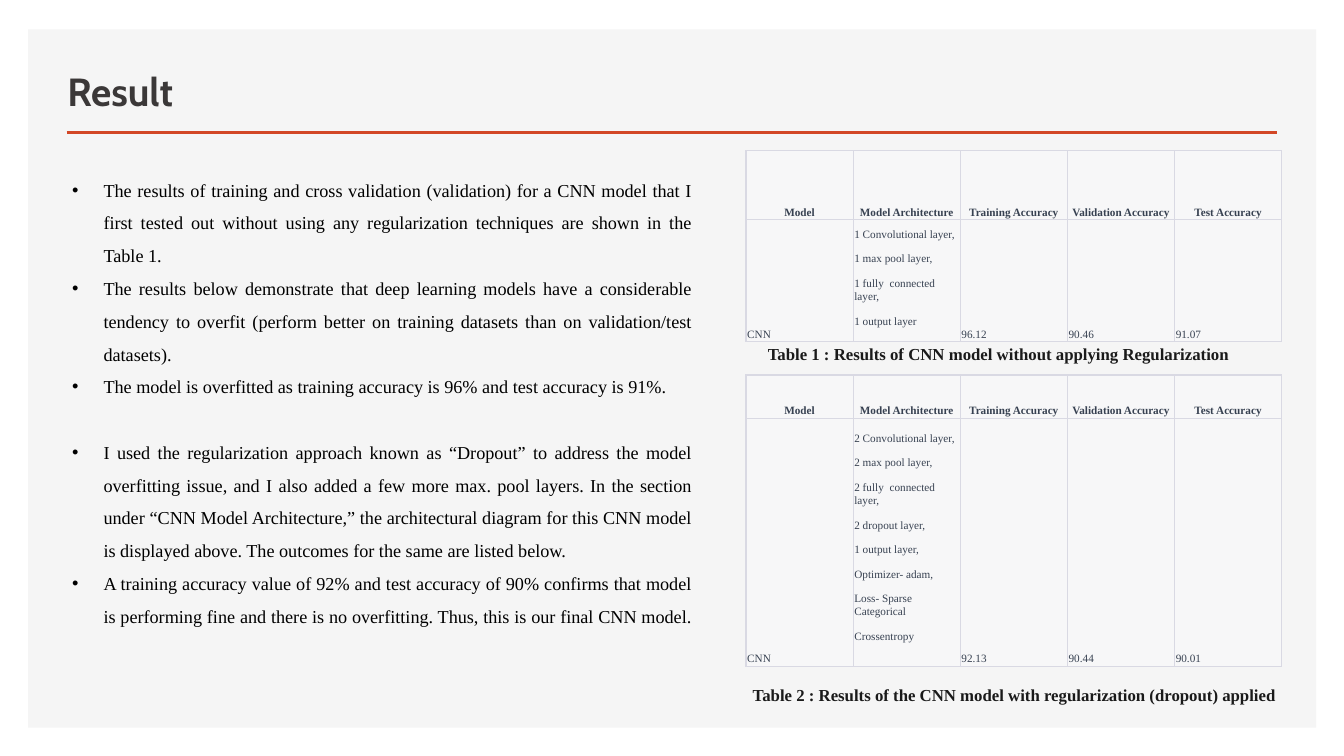
from lxml import etree
from pptx import Presentation
from pptx import util as u
from pptx.dml.color import RGBColor
from pptx.enum import shapes, text
from pptx.oxml.ns import qn

SERIF = "Times New Roman"
HEADS = ["Model", "Model Architecture", "Training Accuracy",
         "Validation Accuracy", "Test Accuracy"]
PLAIN = ["1 Convolutional layer,", "1 max pool layer,",
         "1 fully  connected layer,", "1 output layer"]
DROPOUT = ["2 Convolutional layer,", "2 max pool layer,",
           "2 fully  connected layer,", "2 dropout layer,", "1 output layer,",
           "Optimizer- adam,", "Loss- Sparse Categorical", "Crossentropy"]
POINTS = [
    "The results of training and cross validation (validation) for a CNN model "
    "that I first tested out without using any regularization techniques are "
    "shown in the Table 1. ",
    "The results below demonstrate that deep learning models have a considerable "
    "tendency to overfit (perform better on training datasets than on "
    "validation/test datasets). ",
    "The model is overfitted as training accuracy is 96% and test accuracy is 91%. ",
    "I used the regularization approach known as “Dropout” to address the model "
    "overfitting issue, and I also added a few more max. pool layers. In the "
    "section under “CNN Model Architecture,” the architectural diagram for this "
    "CNN model is displayed above. The outcomes for the same are listed below. ",
    "A training accuracy value of 92% and test accuracy of 90% confirms that "
    "model is performing fine and there is no overfitting. Thus, this is our "
    "final CNN model. ",
]


def paint(color, value):
    color.rgb = RGBColor.from_string(value)


def fill(item, value):
    item.fill.solid()
    paint(item.fill.fore_color, value)


def style(para, size, color, bold=False, name=SERIF):
    font = para.font
    font.size, font.bold, font.name = u.Pt(size), bold, name
    paint(font.color, color)


def write(frame, lines):
    """Fill the frame with one paragraph a line and return the paragraphs."""
    for num, line in enumerate(lines):
        para = frame.add_paragraph() if num else frame.paragraphs[0]
        para.text = line
    return frame.paragraphs


def add_panel(slide, left, top, width, height):
    panel = slide.shapes.add_shape(
        shapes.MSO_SHAPE.RECTANGLE, u.Cm(left), u.Cm(top), u.Cm(width), u.Cm(height))
    panel.shadow.inherit = False
    fill(panel, "F5F5F5")
    panel.line.fill.background()


def add_rule(slide, left, right, y):
    rule = slide.shapes.add_connector(
        shapes.MSO_CONNECTOR.STRAIGHT, u.Cm(left), u.Cm(y), u.Cm(right), u.Cm(y))
    rule.line.width = u.Pt(2)
    paint(rule.line.color, "D24726")
    etree.SubElement(rule._element.spPr, qn("a:effectLst"))


def add_box(slide, left, top, width, height):
    box = slide.shapes.add_textbox(u.Cm(left), u.Cm(top), u.Cm(width), u.Cm(height))
    box.text_frame.word_wrap = True
    return box.text_frame


def add_title(slide, words):
    frame = add_box(slide, 1.45, 1.24, 19.1, 1.78)
    frame.vertical_anchor = text.MSO_ANCHOR.BOTTOM
    style(write(frame, [words])[0], 28, "3B3838", True, "Cabin")


def add_label(slide, left, top, width, words):
    frame = add_box(slide, left, top, width, 0.76)
    style(write(frame, [words])[0], 12, "1A1A1A", True)


def add_points(slide):
    paras = write(add_box(slide, 1.57, 4.11, 16.1, 11.84), POINTS)
    for para in paras:
        style(para, 13, "000000")
        para.alignment = text.PP_ALIGN.JUSTIFY
        para.line_spacing = 1.5
        props = para._p.get_or_add_pPr()
        props.set("marL", str(u.Cm(0.79)))
        props.set("indent", str(-u.Cm(0.79)))
        etree.SubElement(props, qn("a:buFont"), typeface="Arial")
        etree.SubElement(props, qn("a:buChar"), char="•")
    paras[2].space_after = u.Pt(23.4)


def add_edges(cell):
    props = cell._tc.get_or_add_tcPr()
    for num, side in enumerate(["lnL", "lnR", "lnT", "lnB"]):
        edge = etree.Element(qn("a:" + side), w=str(u.Pt(1)))
        solid = etree.SubElement(edge, qn("a:solidFill"))
        etree.SubElement(solid, qn("a:srgbClr"), val="D9D9E3")
        props.insert(num, edge)


def fill_cell(cell, lines, head, foot):
    """Write the lines, leaving foot centimetres below the last one."""
    fill(cell, "F7F7F8")
    add_edges(cell)
    cell.vertical_anchor = text.MSO_ANCHOR.BOTTOM
    cell.margin_left = cell.margin_right = cell.margin_top = u.Cm(0.03)
    cell.margin_bottom = u.Cm(foot)
    paras = write(cell.text_frame, lines)
    for para in paras:
        style(para, 8, "374151", head)
        para.line_spacing = 1.07
        if head:
            para.alignment = text.PP_ALIGN.CENTER
    for para in paras[:-1]:
        para.space_after = u.Pt(8)


def add_scores(slide, top, highs, layers, scores, foot):
    rows = [[[head] for head in HEADS],
            [["CNN"], layers] + [[score] for score in scores]]
    frame = slide.shapes.add_table(
        2, len(HEADS), u.Cm(18.8), u.Cm(top), u.Cm(13.5), u.Cm(sum(highs)))
    table = frame.table
    table.horz_banding = False
    for col in table.columns:
        col.width = u.Cm(2.7)
    for r, row in enumerate(rows):
        table.rows[r].height = u.Cm(highs[r])
        for c, lines in enumerate(row):
            gap = foot if len(lines) > 1 else 0.03
            fill_cell(table.cell(r, c), lines, r == 0, gap)


def main():
    deck = Presentation()
    deck.slide_width, deck.slide_height = u.Cm(33.87), u.Cm(19.05)
    slide = deck.slides.add_slide(deck.slide_layouts[6])
    add_panel(slide, 0.71, 0.74, 32.46, 17.6)
    add_rule(slide, 1.68, 32.18, 3.33)
    add_title(slide, "Result")
    add_points(slide)
    add_scores(slide, 3.8, [1.74, 3.07], PLAIN, ["96.12", "90.46", "91.07"], 0.36)
    add_label(slide, 19.1, 8.53, 13.84,
              "Table 1 : Results of CNN model without applying Regularization")
    add_scores(slide, 9.45, [1.09, 6.25], DROPOUT, ["92.13", "90.44", "90.01"], 0.6)
    add_label(slide, 18.72, 17.12, 14.6,
              "Table 2 : Results of the CNN model with regularization (dropout) applied")
    deck.save("out.pptx")


if __name__ == "__main__":
    main()
